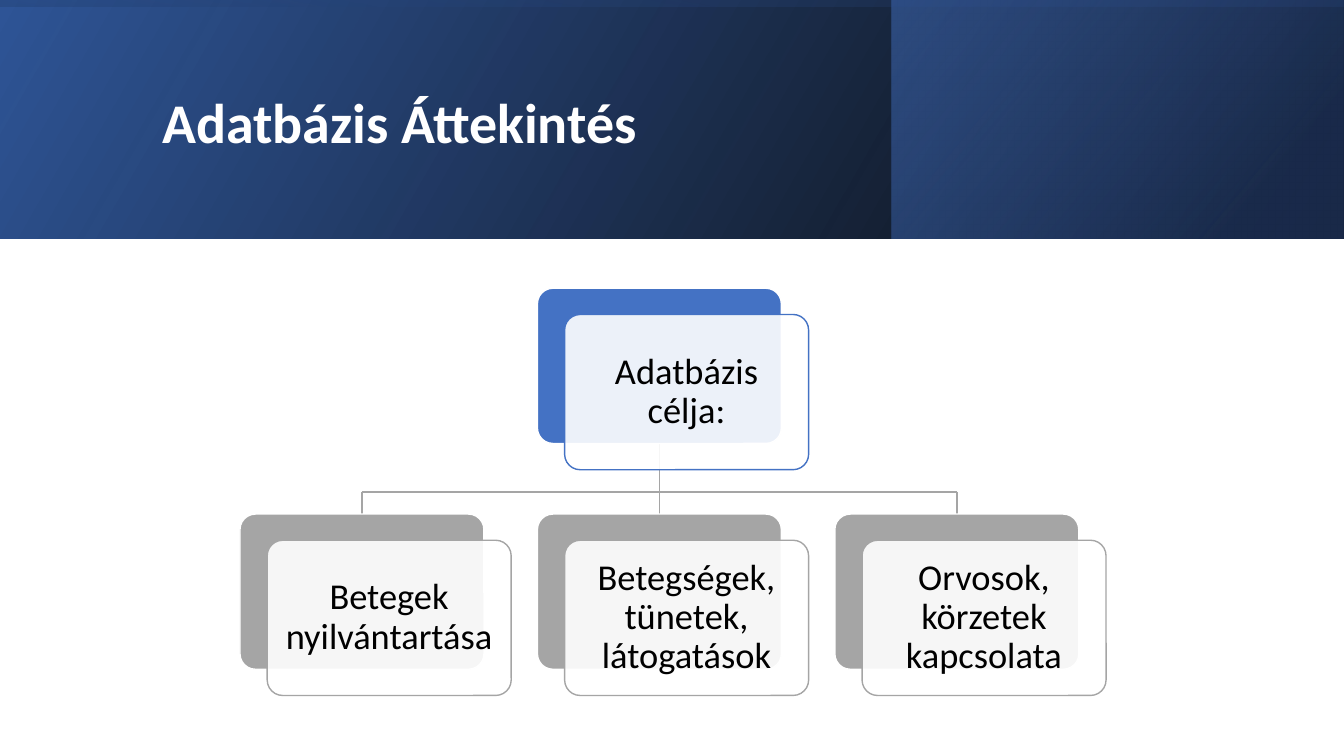
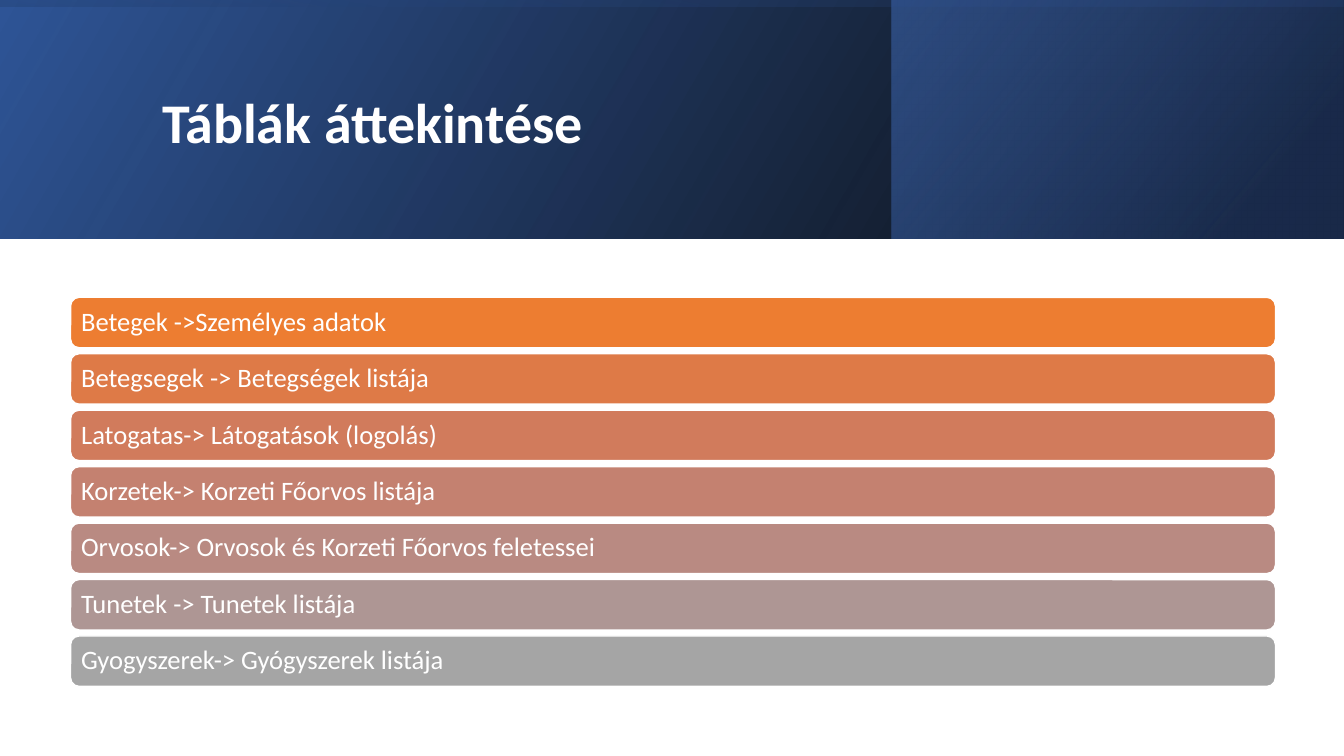
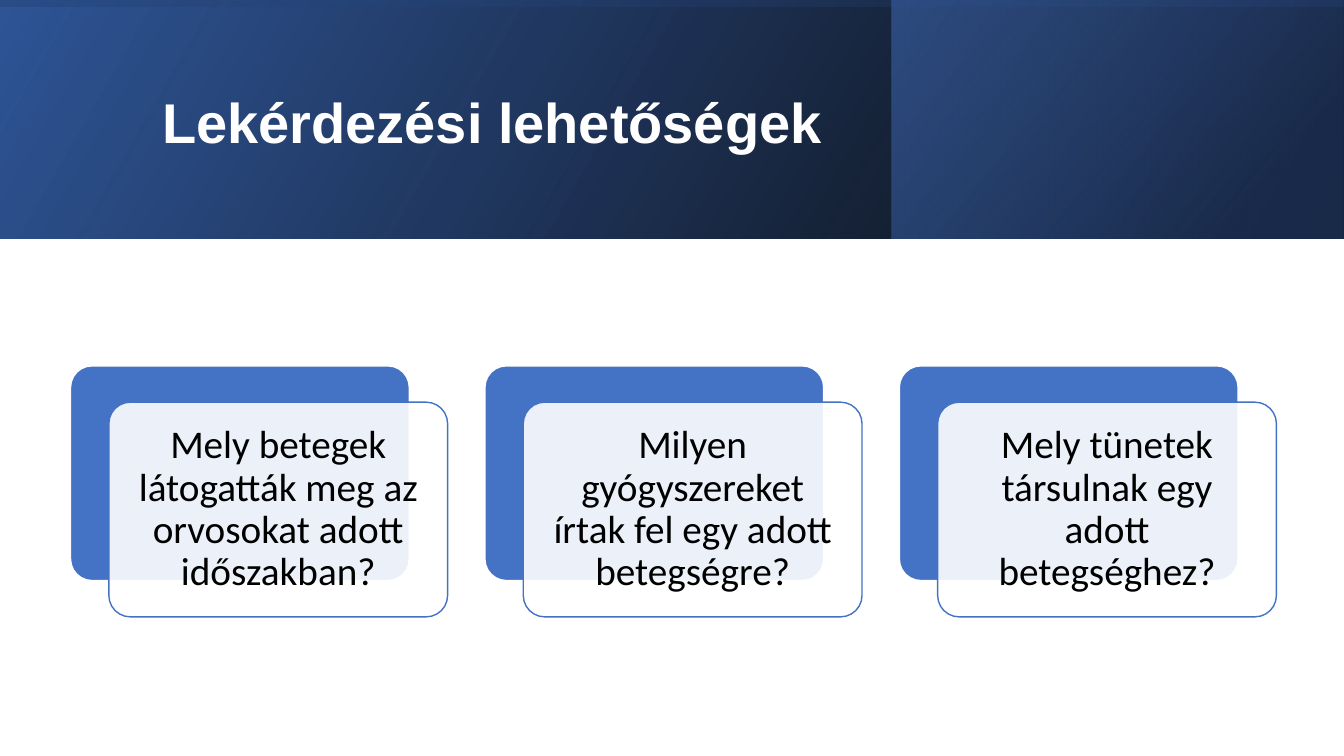
from dataclasses import dataclass

from pptx import Presentation, oxml, util as u
from pptx.dml.color import RGBColor
from pptx.enum import shapes, text
from pptx.oxml import ns


@dataclass(frozen=True)
class Theme:
    body_font: str = "Calibri"
    alternate_font: str = "Arial"
    white: str = "FFFFFF"
    black: str = "000000"
    blue: str = "4472C4"
    deep_blue: str = "2F5597"
    navy: str = "203864"
    gray: str = "A5A5A5"
    bar_colors: tuple = ("ED7D31", "DE7A47", "D17B5C", "C48170", "B98A82", "AE9694", "A5A5A5")
    title_size: int = 40
    question_size: int = 28
    goal_size: int = 26
    bar_size: int = 19
    line_width: int = 1
    veil_alpha: int = 90


theme = Theme()


def write(shape, wording, size, color, margin, align, font=theme.body_font, bold=False):
    frame = shape.text_frame
    frame.word_wrap = True
    frame.vertical_anchor = text.MSO_ANCHOR.MIDDLE
    frame.margin_left = frame.margin_right = u.Inches(margin)
    frame.margin_top = frame.margin_bottom = u.Inches(margin)
    para = frame.paragraphs[0]
    para.alignment = align
    para.line_spacing = 0.9
    span = para.add_run()
    span.text = wording
    span.font.name = font
    span.font.size = u.Pt(size)
    span.font.bold = bold
    span.font.color.rgb = RGBColor.from_string(color)


def add_box(page, left, top, width, height, fill, line, corner):
    box = page.shapes.add_shape(
        shapes.MSO_SHAPE.ROUNDED_RECTANGLE,
        u.Inches(left), u.Inches(top), u.Inches(width), u.Inches(height))
    box.adjustments[0] = corner
    box.shadow.inherit = False
    box.fill.solid()
    box.fill.fore_color.rgb = RGBColor.from_string(fill)
    box.line.color.rgb = RGBColor.from_string(line)
    box.line.width = u.Pt(theme.line_width)
    return box


deck = Presentation()
deck.slide_width = u.Inches(13.33)
deck.slide_height = u.Inches(7.5)

bands = [
    (0, 0, 13.33, 2.37, 0, 330, [(0, theme.black, 96), (100, theme.deep_blue, 100)]),
    (8.84, 0, 4.48, 2.37, 0, 320, [(19, theme.navy, 68), (100, theme.blue, 48)]),
    (5.48, -5.48, 2.37, 13.33, 270, 350, [(23, theme.deep_blue, 16), (99, theme.black, 45)]),
]
titles = [
    ("Adatbázis Áttekintés", theme.body_font),
    ("Táblák áttekintése", theme.body_font),
    ("Lekérdezési lehetőségek", theme.alternate_font),
]

pages = []
for title, title_font in titles:
    page = deck.slides.add_slide(deck.slide_layouts[6])
    pages.append(page)
    for left, top, width, height, rotation, angle, stops in bands:
        band = page.shapes.add_shape(
            shapes.MSO_SHAPE.RECTANGLE,
            u.Inches(left), u.Inches(top), u.Inches(width), u.Inches(height))
        band.rotation = rotation
        band.shadow.inherit = False
        band.line.fill.background()
        band.fill.background()
        properties = band._element.spPr
        properties.find(ns.qn("a:xfrm")).set("flipH", "1")
        stop_xml = "".join(
            f'<a:gs pos="{place * 1000}"><a:srgbClr val="{color}">'
            f'<a:alpha val="{alpha * 1000}"/></a:srgbClr></a:gs>'
            for place, color, alpha in stops)
        gradient = oxml.parse_xml(
            f'<a:gradFill {ns.nsdecls("a")} rotWithShape="1"><a:gsLst>{stop_xml}</a:gsLst>'
            f'<a:lin ang="{angle * 60000}" scaled="0"/></a:gradFill>')
        properties.replace(properties.find(ns.qn("a:noFill")), gradient)
    heading = page.shapes.add_textbox(
        u.Inches(1.51), u.Inches(0.38), u.Inches(10.63), u.Inches(1.72))
    write(heading, title, theme.title_size, theme.white, 0.1,
          text.PP_ALIGN.LEFT, title_font, True)

overview, tables, queries = pages

goal_width, goal_height = 2.42, 1.54
goal_lefts = [2.38 + 2.95 * column for column in range(3)]
centers = [left + goal_width / 2 for left in goal_lefts]
goal_top, branch_y, child_top = 2.86, 4.88, 5.1
goal_bottom = goal_top + goal_height
tree_lines = [
    (centers[1], goal_bottom, centers[1], child_top),
    (centers[0], branch_y, centers[2], branch_y),
    (centers[0], branch_y, centers[0], child_top),
    (centers[2], branch_y, centers[2], child_top),
]
for x1, y1, x2, y2 in tree_lines:
    branch = overview.shapes.add_connector(
        shapes.MSO_CONNECTOR.STRAIGHT,
        u.Inches(x1), u.Inches(y1), u.Inches(x2), u.Inches(y2))
    branch.line.color.rgb = RGBColor.from_string(theme.gray)
    branch.line.width = u.Pt(theme.line_width)
    branch._element.spPr.append(oxml.parse_xml(f'<a:effectLst {ns.nsdecls("a")}/>'))

children = ["Betegek nyilvántartása", "Betegségek, tünetek, látogatások",
            "Orvosok, körzetek kapcsolata"]
questions = ["Mely betegek látogatták meg az orvosokat adott időszakban?",
             "Milyen gyógyszereket írtak fel egy adott betegségre?",
             "Mely tünetek társulnak egy adott betegséghez?"]
goal_style = (goal_width, goal_height, 0.27, 0.26, theme.goal_size, 0.11)
question_style = (3.36, 2.13, 0.38, 0.36, theme.question_size, 0.12)

cards = [(overview, goal_lefts[1], goal_top, theme.blue, "Adatbázis célja:", goal_style)]
for left, wording in zip(goal_lefts, children):
    cards.append((overview, left, child_top, theme.gray, wording, goal_style))
for column, wording in enumerate(questions):
    cards.append((queries, 0.7 + 4.11 * column, 3.63, theme.blue, wording, question_style))

for page, left, top, color, wording, style in cards:
    width, height, shift_x, shift_y, size, margin = style
    add_box(page, left, top, width, height, color, theme.white, 0.1)
    front = add_box(page, left + shift_x, top + shift_y, width, height,
                    theme.white, color, 0.1)
    veil = front._element.spPr.find(ns.qn("a:solidFill")).find(ns.qn("a:srgbClr"))
    veil.append(oxml.parse_xml(
        f'<a:alpha {ns.nsdecls("a")} val="{theme.veil_alpha * 1000}"/>'))
    write(front, wording, size, theme.black, margin, text.PP_ALIGN.CENTER)

table_notes = [
    "Betegek ->Személyes adatok",
    "Betegsegek -> Betegségek listája",
    "Latogatas-> Látogatások (logolás)",
    "Korzetek-> Korzeti Főorvos listája",
    "Orvosok-> Orvosok és Korzeti Főorvos feletessei",
    "Tunetek -> Tunetek listája",
    "Gyogyszerek-> Gyógyszerek listája",
]
for row, (wording, color) in enumerate(zip(table_notes, theme.bar_colors)):
    bar = add_box(tables, 0.7, 2.95 + 0.56 * row, 11.95, 0.5, color, theme.white, 0.17)
    write(bar, wording, theme.bar_size, theme.white, 0.08, text.PP_ALIGN.LEFT)

deck.save("out.pptx")
